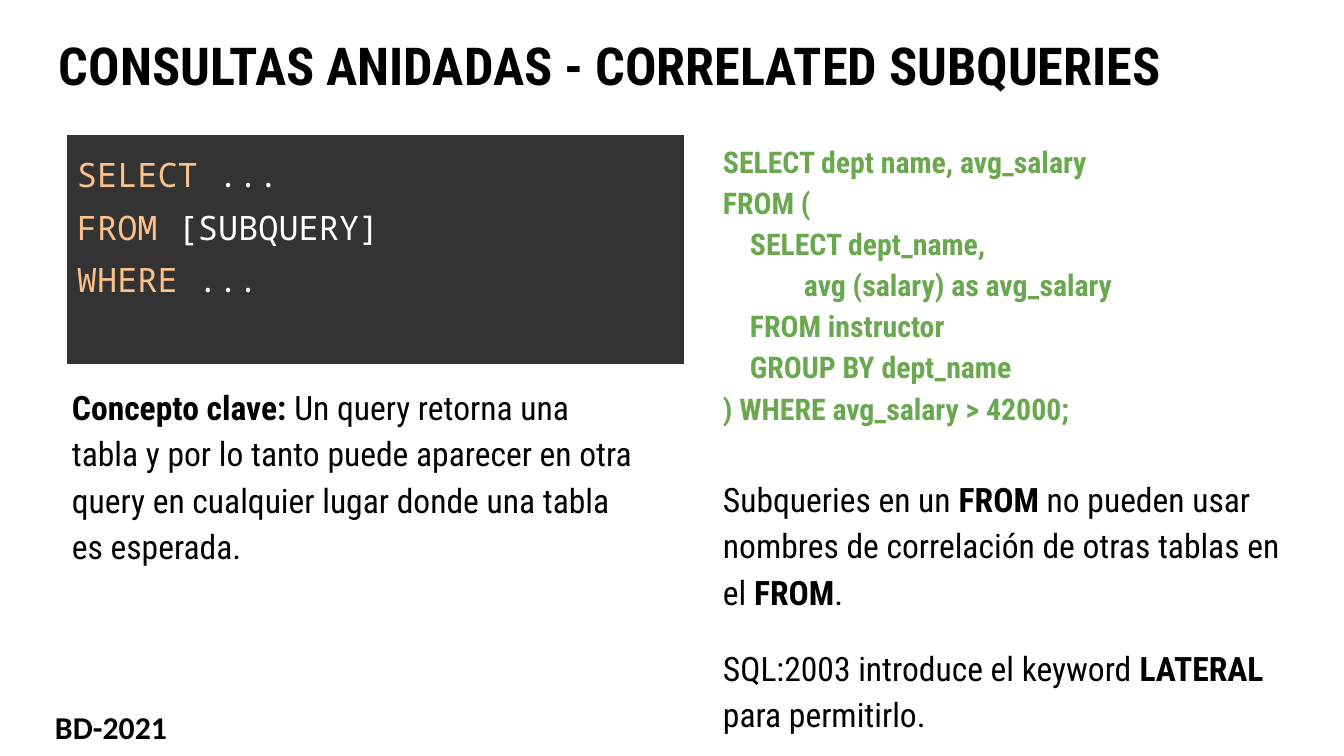
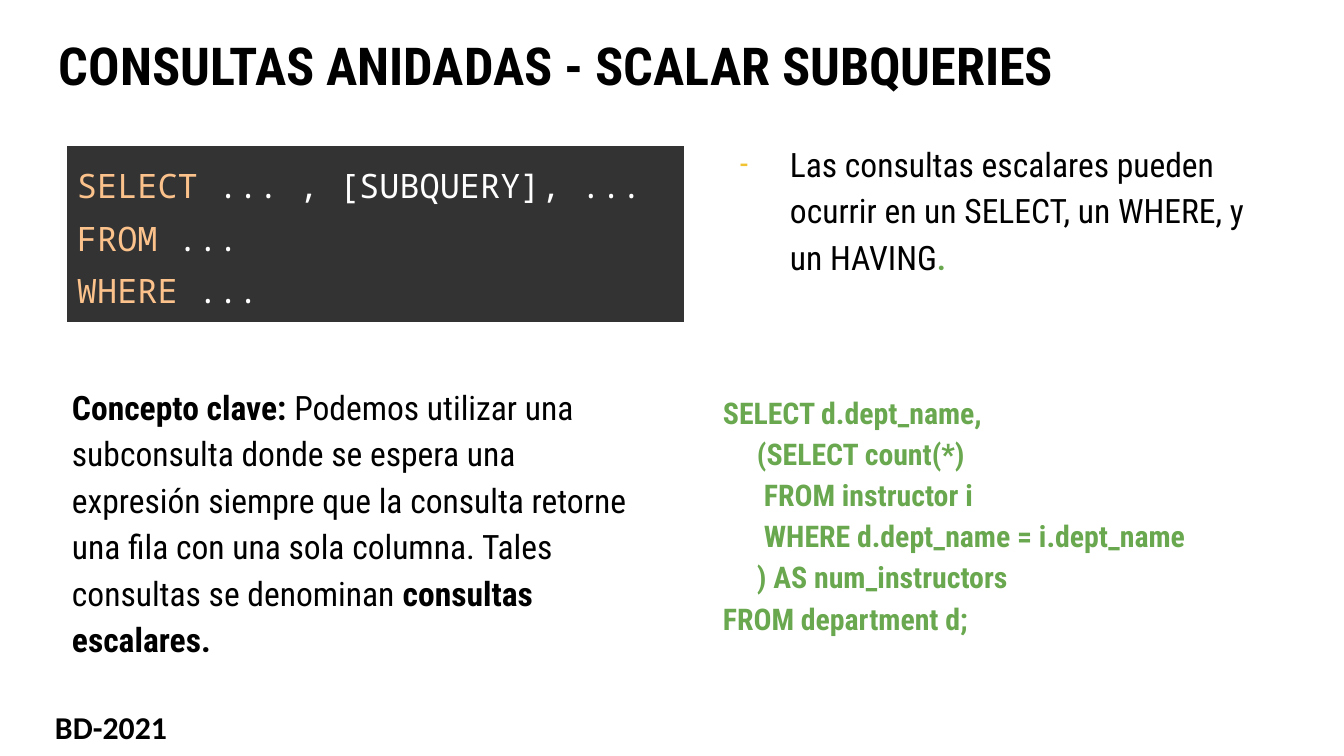
from lxml import etree
from pptx import Presentation
from pptx.dml.color import RGBColor
from pptx.enum.shapes import MSO_SHAPE
from pptx.enum.text import MSO_ANCHOR, PP_ALIGN
from pptx.oxml.ns import qn
from pptx.util import Emu, Pt

RECTANGLE = MSO_SHAPE.RECTANGLE
TOP = MSO_ANCHOR.TOP
LEFT = PP_ALIGN.LEFT

EMU_PER_PX = 914400 / 134.4
PAGE_SIZE = (1344, 756)
TITLE_AREA = (46, 20, 1253, 85)
CONCEPT_AREA = (59, 368, 587, 324)
DETAIL_AREA = (710, 125, 587, 503)
FOOTER_AREA = (42, 695, 140, 54)
CODE_LEFT, CODE_WIDTH = 67, 617
TEXT_INSET, CELL_INSET = 13, 10
BODY_SPACING = 1.15

WHITE, BLACK, CODE_FILL = "FFFFFF", "000000", "333333"
ORANGE, GREEN, YELLOW = "FCC28C", "6AA84F", "F1C232"
BODY_FONT, CODE_FONT, FOOTER_FONT = "Roboto Condensed", "Noto Sans Mono", "Calibri"


def font_style(name, size, color=BLACK, bold=False):
    return {"font": {"name": name, "size": Pt(size), "bold": bold}, "color": color}


STYLES = {
    "title": font_style(BODY_FONT, 28, bold=True),
    "body": font_style(BODY_FONT, 18),
    "strong": font_style(BODY_FONT, 18, bold=True),
    "sql": font_style(BODY_FONT, 16, GREEN, True),
    "keyword": font_style(CODE_FONT, 18, ORANGE),
    "code": font_style(CODE_FONT, 18, WHITE),
    "footer": font_style(FOOTER_FONT, 17, bold=True),
}


def px(length):
    return Emu(round(length * EMU_PER_PX))


def rgb(color):
    return RGBColor.from_string(color)


def line(*spans, **layout):
    """Pair the (text, style) spans of a paragraph with its layout."""
    return spans, layout


def sql_lines(*rows, before=0):
    """Turn (indent, text) rows into SQL lines, with a gap above the first."""
    return [line((text, "sql"), indent=indent, before=0 if number else before)
            for number, (indent, text) in enumerate(rows)]


class Deck:
    """Holds the presentation, its style and the current slide."""

    def __init__(self):
        self.deck = Presentation()
        self.deck.slide_width, self.deck.slide_height = map(px, PAGE_SIZE)
        self.page = None

    def new_page(self, title):
        self.page = self.deck.slides.add_slide(self.deck.slide_layouts[6])
        self.text(TITLE_AREA, [line((title, "title"))], spacing=1.0)

    def text(self, area, lines, spacing=BODY_SPACING):
        box = self.page.shapes.add_textbox(*map(px, area))
        self.fill_frame(box.text_frame, lines, spacing)

    def code(self, top, height, lines):
        """Add a dark one-cell table with highlighted code."""
        area = (CODE_LEFT, top, CODE_WIDTH, height)
        table = self.page.shapes.add_table(1, 1, *map(px, area)).table
        table.first_row = table.horz_banding = False
        cell = table.cell(0, 0)
        cell.fill.solid()
        cell.fill.fore_color.rgb = rgb(CODE_FILL)
        self.set_margins(cell, CELL_INSET)
        self.clear_borders(cell)
        self.add_lines(cell.text_frame, lines, BODY_SPACING)

    def footer(self, label):
        box = self.page.shapes.add_shape(RECTANGLE, *map(px, FOOTER_AREA))
        box.shadow.inherit = False
        box.fill.solid()
        box.fill.fore_color.rgb = rgb(WHITE)
        box.line.fill.background()
        self.fill_frame(box.text_frame, [line((label, "footer"))], 1.0)

    def fill_frame(self, frame, lines, spacing):
        frame.word_wrap = True
        frame.vertical_anchor = TOP
        self.set_margins(frame, TEXT_INSET)
        self.add_lines(frame, lines, spacing)

    @staticmethod
    def set_margins(holder, inset):
        for side in ("left", "top", "right", "bottom"):
            setattr(holder, f"margin_{side}", px(inset))

    def add_lines(self, frame, lines, spacing):
        for number, (spans, layout) in enumerate(lines):
            para = frame.add_paragraph() if number else frame.paragraphs[0]
            formats = {"alignment": LEFT, "line_spacing": spacing,
                       "space_before": Pt(layout.get("before", 0))}
            for name, value in formats.items():
                setattr(para, name, value)
            self.indent(para, **layout)
            for text, style in spans:
                span = para.add_run()
                span.text = text
                for name, value in STYLES[style]["font"].items():
                    setattr(span.font, name, value)
                span.font.color.rgb = rgb(STYLES[style]["color"])

    @staticmethod
    def indent(para, indent=0, hanging=0, bullet=None, before=0):
        """Set the left margin and, if given, a coloured hanging bullet."""
        properties = para._p.get_or_add_pPr()
        properties.set("marL", str(px(indent)))
        properties.set("indent", str(px(-hanging)))
        if bullet:
            color = etree.SubElement(properties, qn("a:buClr"))
            etree.SubElement(color, qn("a:srgbClr"), val=YELLOW)
            etree.SubElement(properties, qn("a:buFont"), typeface=BODY_FONT)
            etree.SubElement(properties, qn("a:buChar"), char=bullet)

    @staticmethod
    def clear_borders(cell):
        """Give the cell thin, fully transparent black borders."""
        properties = cell._tc.get_or_add_tcPr()
        for position, side in enumerate(("lnL", "lnR", "lnT", "lnB")):
            border = etree.Element(qn(f"a:{side}"), w=str(Pt(0.75)))
            fill = etree.SubElement(border, qn("a:solidFill"))
            color = etree.SubElement(fill, qn("a:srgbClr"), val=BLACK)
            etree.SubElement(color, qn("a:alpha"), val="0")
            properties.insert(position, border)


def add_correlated_page(deck):
    deck.new_page("CONSULTAS ANIDADAS - CORRELATED SUBQUERIES")
    query = sql_lines(
        (0, "SELECT dept name, avg_salary"),
        (0, "FROM ("),
        (27, "SELECT dept_name,"),
        (81, "avg (salary) as avg_salary"),
        (27, "FROM instructor"),
        (27, "GROUP BY dept_name"),
        (0, ") WHERE avg_salary > 42000;"),
    )
    deck.text(DETAIL_AREA, query + [
        line(("Subqueries en un ", "body"), ("FROM", "strong"),
             (" no pueden usar nombres de correlación de otras tablas en el ", "body"),
             ("FROM", "strong"), (".", "body"), before=25),
        line(("SQL:2003 introduce el keyword ", "body"), ("LATERAL", "strong"),
             (" para permitirlo.", "body"), before=16),
    ])
    deck.code(135, 229, [
        line(("SELECT", "keyword"), (" ...", "code")),
        line(("FROM", "keyword"), (" [SUBQUERY]", "code")),
        line(("WHERE", "keyword"), (" ...", "code")),
    ])
    deck.text(CONCEPT_AREA, [line(
        ("Concepto clave: ", "strong"),
        ("Un query retorna una tabla y por lo tanto puede aparecer en otra query "
         "en cualquier lugar donde una tabla es esperada.", "body"))])
    deck.footer("BD-2021")


def add_scalar_page(deck):
    deck.new_page("CONSULTAS ANIDADAS - SCALAR SUBQUERIES")
    note = line(
        ("Las consultas escalares pueden ocurrir en un SELECT, un WHERE, y un HAVING",
         "body"), (".", "sql"), indent=67, hanging=50, bullet="-")
    query = sql_lines(
        (0, "SELECT d.dept_name,"),
        (34, "(SELECT count(*)"),
        (41, "FROM instructor i"),
        (41, "WHERE d.dept_name = i.dept_name"),
        (34, ") AS num_instructors"),
        (0, "FROM department d;"),
        before=60,
    )
    deck.text(DETAIL_AREA, [note] + query)
    deck.code(146, 176, [
        line(("SELECT", "keyword"), (" ... , [SUBQUERY], ...", "code")),
        line(("FROM", "keyword"), (" ...", "code")),
        line(("WHERE", "keyword"), (" ...", "code")),
    ])
    deck.text(CONCEPT_AREA, [line(
        ("Concepto clave: ", "strong"),
        ("Podemos utilizar una subconsulta donde se espera una expresión siempre que "
         "la consulta retorne una fila con una sola columna. Tales consultas se "
         "denominan ", "body"),
        ("consultas escalares.", "strong"))])
    deck.footer("BD-2021")


def main():
    deck = Deck()
    add_correlated_page(deck)
    add_scalar_page(deck)
    deck.deck.save("out.pptx")


if __name__ == "__main__":
    main()
